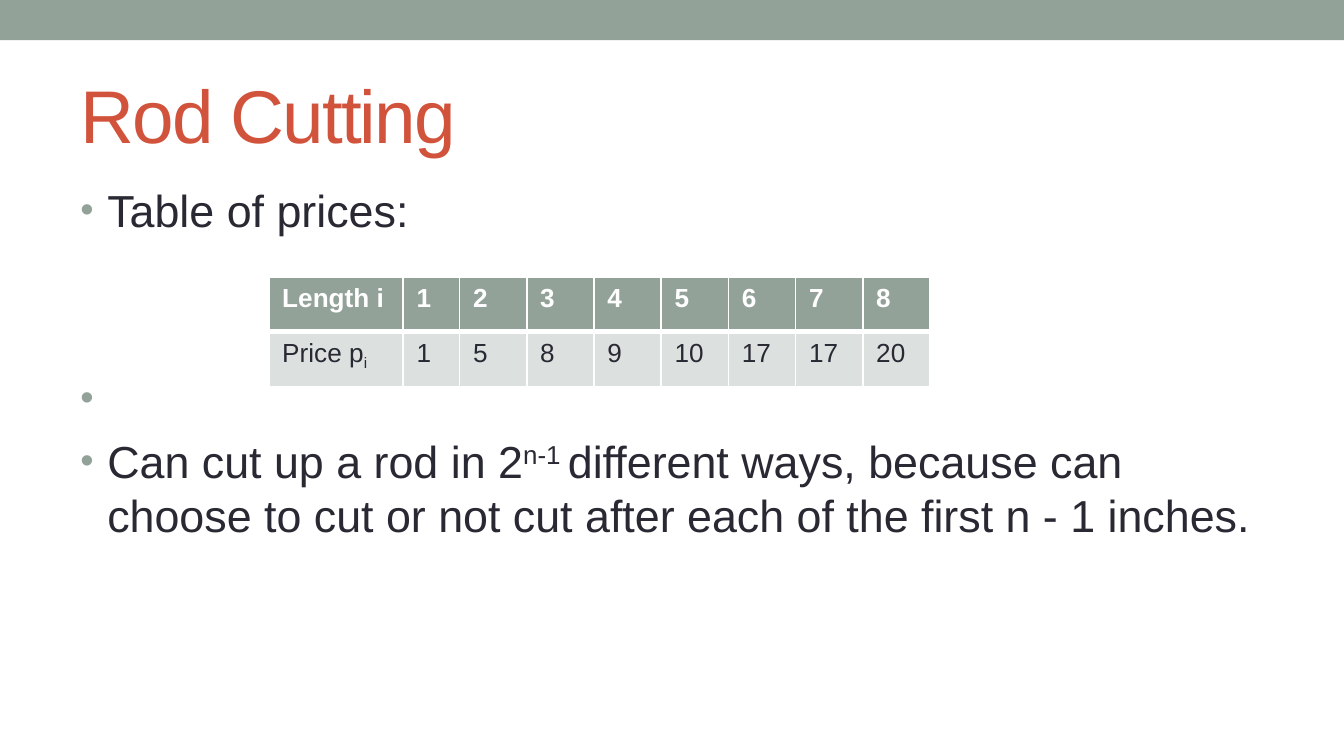
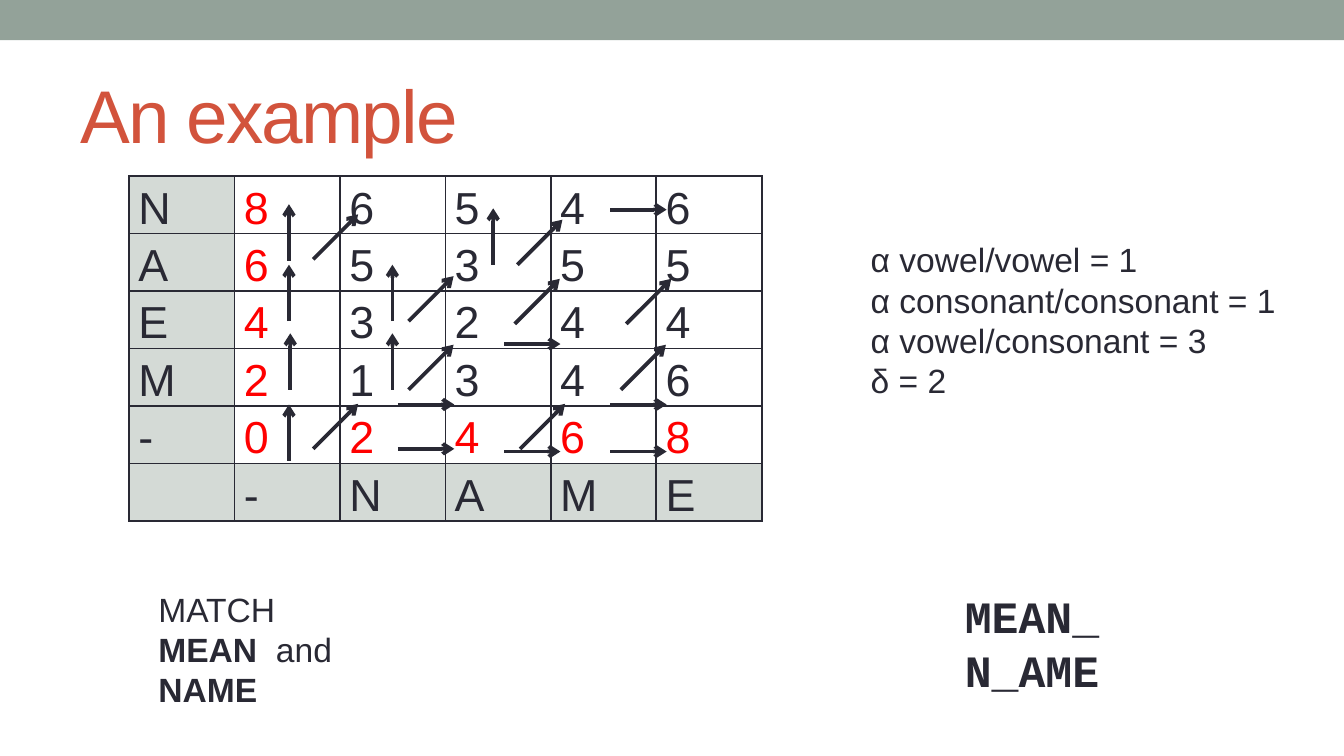
"""Build two slides on dynamic programming: rod cutting and sequence alignment."""
from typing import NamedTuple, Optional

from lxml.etree import SubElement
from pptx import Presentation
from pptx.dml.color import RGBColor
from pptx.enum.shapes import MSO_CONNECTOR, MSO_SHAPE
from pptx.enum.text import MSO_ANCHOR, MSO_AUTO_SIZE
from pptx.oxml import parse_xml
from pptx.oxml.ns import nsdecls, qn
from pptx.slide import Slide
from pptx.table import Table, _Cell
from pptx.text.text import _Paragraph
from pptx.util import Emu, Inches, Pt

WIDTH, HEIGHT = Inches(10), Inches(5.625)
COLUMNS, ROWS = 100, 56.25

SAGE = RGBColor(0x93, 0xA2, 0x99)
SAGE_LIGHT = RGBColor(0xD4, 0xDA, 0xD6)
SAGE_PALE = RGBColor(0xDC, 0xE0, 0xDE)
BRICK = RGBColor(0xD2, 0x53, 0x3C)
INK = RGBColor(0x29, 0x29, 0x34)
RED = RGBColor(0xFF, 0x00, 0x00)
WHITE = RGBColor(0xFF, 0xFF, 0xFF)
SANS, MONO = "Arial", "Courier New"


class Area(NamedTuple):
    left: float
    top: float
    width: float
    height: float


class Span(NamedTuple):
    text: str
    bold: Optional[bool] = None
    baseline: int = 0


class Style(NamedTuple):
    size: float
    color: RGBColor = INK
    bold: bool = False
    face: str = SANS


class Step(NamedTuple):
    across: float
    down: float
    starts: tuple[tuple[float, float], ...]


class Edges(NamedTuple):
    left: float
    right: float
    top: float
    bottom: float


PRICES = (
    ("Length i", "1", "2", "3", "4", "5", "6", "7", "8"),
    ((Span("Price p"), Span("i", baseline=-25)),
     "1", "5", "8", "9", "10", "17", "17", "20"),
)
COSTS = ("N86546", "A65355", "E43244", "M21346", "-02468", " -NAME")
STEPS = (
    Step(0, -4.2, ((21.5, 34.3), (21.6, 29), (21.5, 23.9), (21.5, 19.4),
                   (29.2, 29), (29.2, 23.9), (36.7, 19.7))),
    Step(4.2, 0, ((29.6, 33.4), (37.5, 33.6), (45.4, 33.6), (29.6, 30.1),
                  (45.4, 30.1), (37.5, 25.6), (45.4, 15.6))),
    Step(3.35, -3.35, ((23.3, 33.4), (38.7, 33.4), (30.4, 29), (46.2, 29),
                       (30.4, 23.9), (38.3, 24.1), (46.6, 24.1),
                       (23.3, 19.3), (38.5, 19.7))),
)


def x(columns: float) -> Emu:
    """Turn grid columns into a length."""
    return Emu(round(WIDTH * columns / COLUMNS))


def y(rows: float) -> Emu:
    """Turn grid rows into a length."""
    return Emu(round(HEIGHT * rows / ROWS))


def place(area: Area) -> tuple[Emu, Emu, Emu, Emu]:
    """Turn a grid area into left, top, width and height."""
    return x(area.left), y(area.top), x(area.width), y(area.height)


def write(p: _Paragraph, content: str | tuple[Span, ...], style: Style) -> None:
    """Fill a paragraph with spans in one style."""
    p.font.size = Pt(style.size)
    p.font.name = style.face
    p.font.bold = style.bold
    p.font.color.rgb = style.color
    for span in (Span(content),) if isinstance(content, str) else content:
        r = p.add_run()
        r.text = span.text
        if span.bold is not None:
            r.font.bold = span.bold
        if span.baseline:
            r.font._element.set("baseline", str(span.baseline * 1000))


def add_text(slide: Slide, area: Area, lines: tuple, style: Style,
             wrap: bool = True, grow: bool = True) -> list[_Paragraph]:
    """Add a text box with one paragraph a line."""
    tf = slide.shapes.add_textbox(*place(area)).text_frame
    tf.word_wrap = wrap
    tf.auto_size = MSO_AUTO_SIZE.SHAPE_TO_FIT_TEXT if grow else MSO_AUTO_SIZE.NONE
    for i, line in enumerate(lines):
        write(tf.add_paragraph() if i else tf.paragraphs[0], line, style)
    return list(tf.paragraphs)


def indent(p: _Paragraph, margin: float, first: float = 0) -> None:
    """Set the left margin and first-line indent in columns."""
    pPr = p._p.get_or_add_pPr()
    pPr.set("marL", str(x(margin)))
    pPr.set("indent", str(x(first)))


def add_bullet(p: _Paragraph, space_before: float) -> None:
    """Give a paragraph a hanging sage bullet."""
    indent(p, 2, -2)
    p.space_before = Pt(space_before)
    defaults = p._p.pPr.find(qn("a:defRPr"))
    for xml in (f'<a:buClr {nsdecls("a")}><a:srgbClr val="{SAGE}"/></a:buClr>',
                f'<a:buSzPct {nsdecls("a")} val="85000"/>',
                f'<a:buFont {nsdecls("a")} typeface="{SANS}"/>',
                f'<a:buChar {nsdecls("a")} char="•"/>'):
        defaults.addprevious(parse_xml(xml))


def add_base(prs: Presentation, title: str) -> Slide:
    """Add a slide with the top band and its title."""
    slide = prs.slides.add_slide(prs.slide_layouts[6])
    band = slide.shapes.add_shape(MSO_SHAPE.RECTANGLE, *place(Area(0, 0, COLUMNS, 3)))
    band.shadow.inherit = False
    band.fill.solid()
    band.fill.fore_color.rgb = SAGE
    band.line.fill.background()
    p, = add_text(slide, Area(5, 4.4, 90, 8.1), (title,), Style(40, BRICK), grow=False)
    p._parent.vertical_anchor = MSO_ANCHOR.MIDDLE
    p.runs[0].font._element.set("spc", "-100")
    return slide


def add_grid(slide: Slide, area: Area, widths: list[float], rows: int) -> Table:
    """Add an unbanded table with equal rows."""
    table = slide.shapes.add_table(rows, len(widths), *place(area)).table
    table.first_row = table.horz_banding = False
    for column, width in zip(table.columns, widths):
        column.width = x(width)
    for row in table.rows:
        row.height = y(area.height / rows)
    return table


def paint(cell: _Cell, fill: Optional[RGBColor], line: RGBColor, edges: Edges) -> None:
    """Set the fill and the four borders of a cell."""
    if fill is None:
        cell.fill.background()
    else:
        cell.fill.solid()
        cell.fill.fore_color.rgb = fill
    tcPr = cell._tc.get_or_add_tcPr()
    for i, (side, width) in enumerate(zip("LRTB", edges)):
        tcPr.insert(i, parse_xml(
            f'<a:ln{side} {nsdecls("a")} w="{Pt(width)}"><a:solidFill>'
            f'<a:srgbClr val="{line}"/></a:solidFill></a:ln{side}>'))


def add_arrow(slide: Slide, start: tuple[float, float], step: Step) -> None:
    """Draw an arrow from a start point along a step."""
    left, top = start
    line = slide.shapes.add_connector(
        MSO_CONNECTOR.STRAIGHT, x(left), y(top), x(left + step.across), y(top + step.down))
    line.line.color.rgb = INK
    line.line.width = Pt(2)
    SubElement(line.line._get_or_add_ln(), qn("a:tailEnd"), type="arrow")
    SubElement(line._element.spPr, qn("a:effectLst"))


def build_rod_cutting(prs: Presentation) -> None:
    """Build the slide with the price table."""
    slide = add_base(prs, "Rod Cutting")
    ways = (Span("Can cut up a rod in 2"), Span("n-1 ", baseline=30),
            Span("different ways, because can choose to cut or not cut after "
                 "each of the first n - 1 inches."))
    points = add_text(slide, Area(5, 13.1, 90, 40), ("Table of prices:", " ", ways),
                      Style(24), grow=False)
    for p, space in zip(points, (4.8, 72, 4.8)):
        add_bullet(p, space)

    table = add_grid(slide, Area(20, 20.6, 49.2, 8.2), [10, 4.2] + [5] * 7, len(PRICES))
    looks = ((Style(14, WHITE, True), SAGE, Edges(1, 1, 1, 3)),
             (Style(14), SAGE_PALE, Edges(1, 1, 3, 1)))
    for i, (values, (style, fill, edges)) in enumerate(zip(PRICES, looks)):
        for j, value in enumerate(values):
            cell = table.cell(i, j)
            write(cell.text_frame.paragraphs[0], value, style)
            paint(cell, fill, WHITE, edges)


def build_alignment(prs: Presentation) -> None:
    """Build the slide with the alignment cost table."""
    slide = add_base(prs, "An example")
    last = len(COSTS) - 1
    table = add_grid(slide, Area(9.6, 13.1, 47.1, 24.6), [7.85] * 6, len(COSTS))
    for i, costs in enumerate(COSTS):
        for j, cost in enumerate(costs):
            cell = table.cell(i, j)
            cell.margin_left = cell.margin_right = x(0.7)
            cell.margin_top = cell.margin_bottom = 0
            header = j == 0 or i == last
            border = not header and (j == 1 or i == last - 1)
            if cost.strip():
                p = cell.text_frame.paragraphs[0]
                p.line_spacing = 1.15
                write(p, cost, Style(24, RED if border else INK))
            paint(cell, SAGE_LIGHT if header else None, INK, Edges(1, 1, 1, 1))

    for step in STEPS:
        for start in step.starts:
            add_arrow(slide, start, step)

    penalties = ("α vowel/vowel = 1", "α consonant/consonant = 1",
                 "α vowel/consonant = 3", "δ = 2")
    for p in add_text(slide, Area(60.8, 17.3, 35.5, 13.1), penalties, Style(18), wrap=False):
        indent(p, 3)
    words = ("MATCH", (Span("MEAN", True), Span("  and")), (Span("NAME", True),))
    add_text(slide, Area(10.8, 43.3, 45.8, 10.1), words, Style(18))
    add_text(slide, Area(70.8, 43.3, 22.5, 9.1), ("MEAN_", "N_AME"),
             Style(24, bold=True, face=MONO))


def main() -> None:
    """Build and save the presentation."""
    prs = Presentation()
    prs.slide_width, prs.slide_height = WIDTH, HEIGHT
    build_rod_cutting(prs)
    build_alignment(prs)
    prs.save("out.pptx")


if __name__ == "__main__":
    main()
